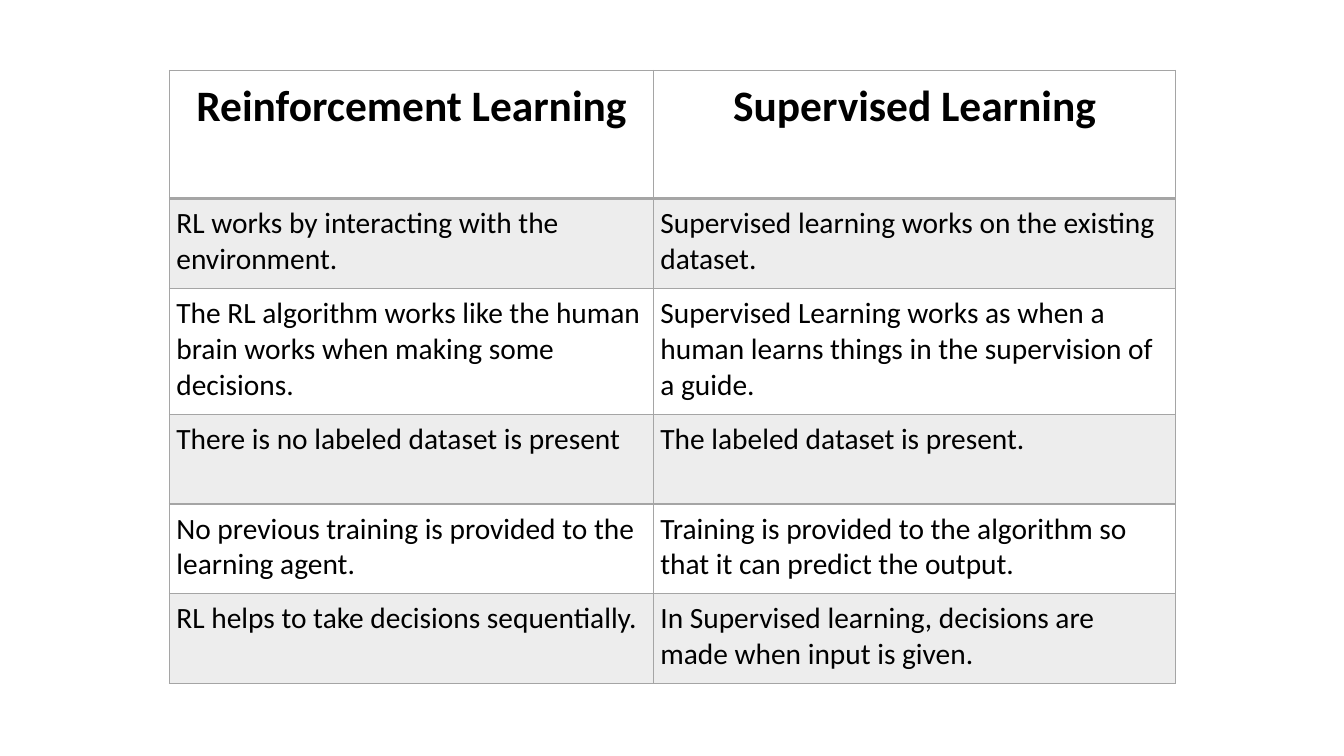
import pptx
import pptx.dml.color
import pptx.enum.text
import pptx.oxml
import pptx.oxml.ns
import pptx.util

PX = 9144
COLORS = {"text": "000000", "line": "A5A5A5", "band": "EDEDED"}
COLUMN_WIDTHS = [480, 518]
ROW_HEIGHTS = [127, 89, 125, 89, 89, 89]
COMPARISON = [
    ("Reinforcement Learning", "Supervised Learning"),
    ("RL works by interacting with the environment.",
     "Supervised learning works on the existing dataset."),
    ("The RL algorithm works like the human brain works when making some decisions.",
     "Supervised Learning works as when a human learns things in the supervision of a guide."),
    ("There is no labeled dataset is present",
     "The labeled dataset is present."),
    ("No previous training is provided to the learning agent.",
     "Training is provided to the algorithm so that it can predict the output."),
    ("RL helps to take decisions sequentially.",
     "In Supervised learning, decisions are made when input is given."),
]


class SlideBuilder:
    font = "Calibri"

    def __init__(self, slide):
        self.slide = slide

    def color(self, name):
        return pptx.dml.color.RGBColor.from_string(COLORS[name])

    def table(self, left, top, widths, heights, rows):
        frame = self.slide.shapes.add_table(
            len(heights), len(widths), left * PX, top * PX,
            sum(widths) * PX, sum(heights) * PX)
        comparison = frame.table
        comparison.horz_banding = False
        for column, width in zip(comparison.columns, widths):
            column.width = width * PX
        for row, height in zip(comparison.rows, heights):
            row.height = height * PX
        for row_index, statements in enumerate(rows):
            for column_index, statement in enumerate(statements):
                self.cell(comparison.cell(row_index, column_index), statement, row_index)

    def cell(self, cell, statement, row_index):
        heading = row_index == 0
        inset = (10 if heading else 7) * PX
        cell.margin_left = cell.margin_right = inset
        cell.margin_top = cell.margin_bottom = inset
        cell.text_frame.text = statement
        paragraph = cell.text_frame.paragraphs[0]
        align = pptx.enum.text.PP_ALIGN
        paragraph.alignment = align.CENTER if heading else align.LEFT
        font = paragraph.runs[0].font
        font.name = self.font
        font.size = pptx.util.Pt(31 if heading else 21)
        font.bold = heading
        font.color.rgb = self.color("text")
        if row_index % 2:
            cell.fill.solid()
            cell.fill.fore_color.rgb = self.color("band")
        else:
            cell.fill.background()
        self.borders(cell, top=2 if row_index == 1 else 1, bottom=2 if heading else 1)

    def borders(self, cell, top, bottom):
        properties = cell._tc.get_or_add_tcPr()
        sides = [("lnL", 1), ("lnR", 1), ("lnT", top), ("lnB", bottom)]
        for position, (side, points) in enumerate(sides):
            properties.insert(position, pptx.oxml.parse_xml(
                f'<a:{side} {pptx.oxml.ns.nsdecls("a")} w="{pptx.util.Pt(points)}">'
                f'<a:solidFill><a:srgbClr val="{COLORS["line"]}"/></a:solidFill>'
                f'</a:{side}>'))


def main():
    presentation = pptx.Presentation()
    presentation.slide_width = 1333 * PX
    presentation.slide_height = 750 * PX
    builder = SlideBuilder(presentation.slides.add_slide(presentation.slide_layouts[6]))
    builder.table(168, 70, COLUMN_WIDTHS, ROW_HEIGHTS, COMPARISON)
    presentation.save("out.pptx")


if __name__ == "__main__":
    main()
